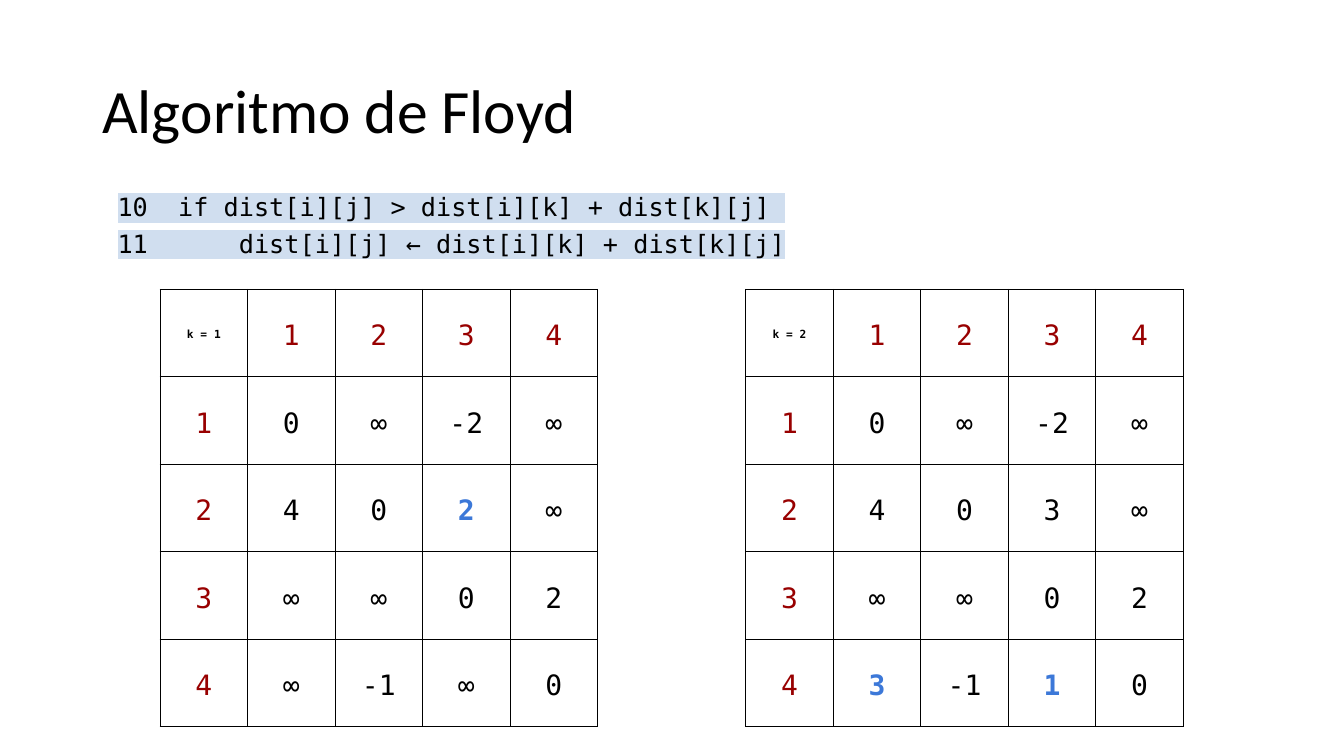
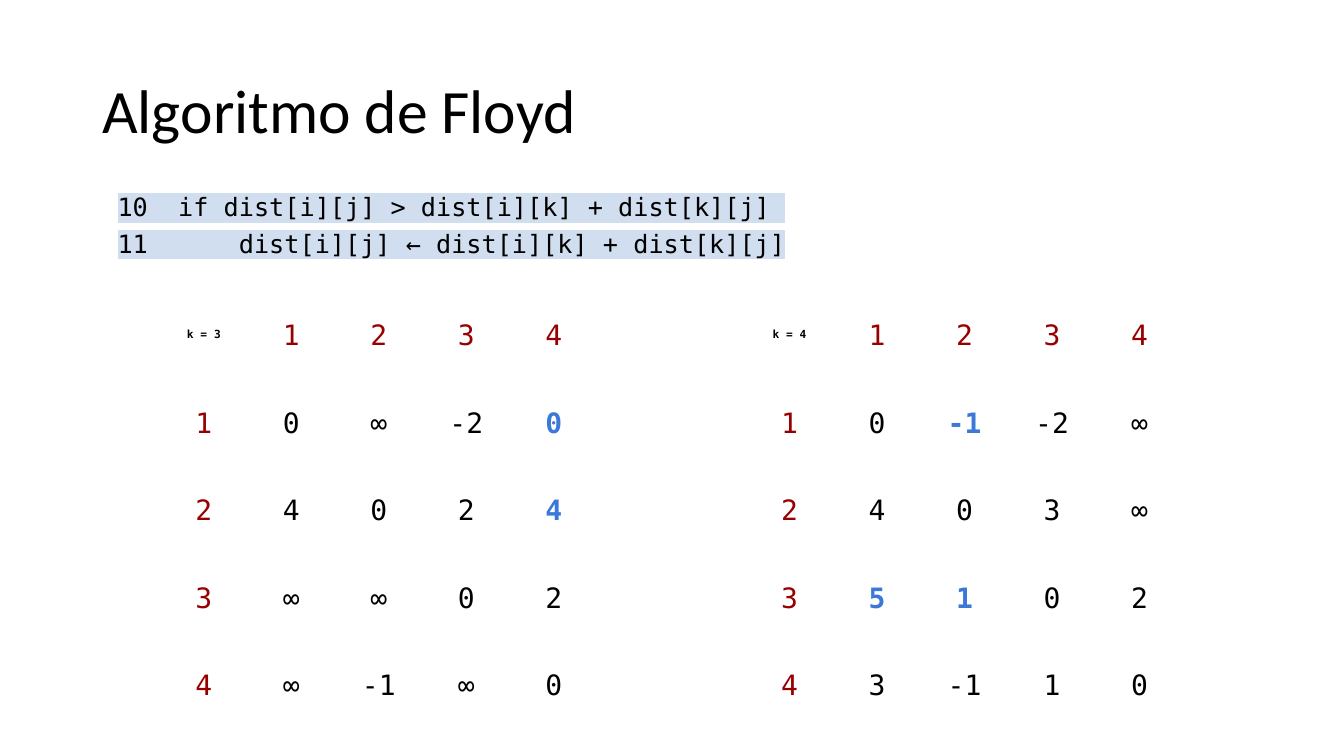
from lxml import etree
from pptx import Presentation
from pptx.dml.color import RGBColor
from pptx.enum import text
from pptx.oxml import ns
from pptx.util import Pt

# Text and matrices; a star marks a distance updated in that step
TITLE = "Algoritmo de Floyd"
CODE = [
    "10  if dist[i][j] > dist[i][k] + dist[k][j] ",
    "11      dist[i][j] ← dist[i][k] + dist[k][j]",
]
STEPS = {
    1: ["0 ∞ -2 ∞", "4 0 2* ∞", "∞ ∞ 0 2", "∞ -1 ∞ 0"],
    2: ["0 ∞ -2 ∞", "4 0 3 ∞", "∞ ∞ 0 2", "3* -1 1* 0"],
    3: ["0 ∞ -2 0*", "4 0 2 4*", "∞ ∞ 0 2", "∞ -1 ∞ 0"],
    4: ["0 -1* -2 ∞", "4 0 3 ∞", "5* 1* 0 2", "3 -1 1 0"],
}


def color(value):
    return RGBColor.from_string(value)


class FloydDeck:
    BLACK, NODE, UPDATED, MARKER = "000000", "980000", "3C78D8", "D0DEEF"
    SANS, MONO = "Calibri", "DejaVu Sans Mono"
    LEFT, WIDTH = 66, 828
    CELL = 62.5

    def __init__(self):
        self.deck = Presentation()
        self.deck.slide_width, self.deck.slide_height = Pt(960), Pt(540)
        self.page = None

    def new_page(self):
        self.page = self.deck.slides.add_slide(self.deck.slide_layouts[6])

    def style(self, para, size, font, tint=BLACK, bold=False, spacing=1.2):
        para.line_spacing = spacing
        for span in para.runs:
            span.font.size, span.font.name = Pt(size), font
            span.font.bold = bold
            span.font.color.rgb = color(tint)

    def text_box(self, top, height, content, inset):
        box = self.page.shapes.add_textbox(
            Pt(self.LEFT), Pt(top), Pt(self.WIDTH), Pt(height))
        frame = box.text_frame
        frame.word_wrap = True
        frame.margin_left = Pt(inset)
        frame.text = content
        return frame

    def title(self, content):
        frame = self.text_box(28.75, 104.4, content, 7.2)
        frame.vertical_anchor = text.MSO_ANCHOR.MIDDLE
        self.style(frame.paragraphs[0], 44, self.SANS, spacing=0.9)

    def code(self, lines):
        frame = self.text_box(129, 60, "\n".join(lines), 18)
        for para in frame.paragraphs:
            self.style(para, 18, self.MONO)
            for span in para.runs:
                self.highlight(span)

    def highlight(self, span):
        marker = etree.Element(ns.qn("a:highlight"))
        etree.SubElement(marker, ns.qn("a:srgbClr"), val=self.MARKER)
        span.font._element.find(ns.qn("a:solidFill")).addnext(marker)

    def borders(self, cell, width=0.75):
        properties = cell._tc.get_or_add_tcPr()
        for side in "LRTB":
            line = etree.SubElement(
                properties, ns.qn(f"a:ln{side}"), w=str(Pt(width)))
            fill = etree.SubElement(line, ns.qn("a:solidFill"))
            etree.SubElement(fill, ns.qn("a:srgbClr"), val=self.BLACK)

    def cell(self, cell, content, size, tint, bold, ruled):
        cell.margin_left = cell.margin_right = Pt(7.2)
        cell.margin_top = cell.margin_bottom = Pt(7.2)
        cell.vertical_anchor = text.MSO_ANCHOR.MIDDLE
        if ruled:
            self.borders(cell)
        cell.fill.background()
        cell.text = content
        para = cell.text_frame.paragraphs[0]
        para.alignment = text.PP_ALIGN.CENTER
        self.style(para, size, self.MONO, tint, bold)

    def matrix(self, left, step, ruled):
        nodes = ["1", "2", "3", "4"]
        rows = [[f"k = {step}"] + nodes]
        rows += [[node] + row.split() for node, row in zip(nodes, STEPS[step])]
        count = len(rows)
        side = Pt(self.CELL * count)
        table = self.page.shapes.add_table(
            count, count, Pt(left), Pt(206.6), side, side).table
        table.first_row = table.horz_banding = False
        for index, row in enumerate(rows):
            table.rows[index].height = Pt(self.CELL)
            table.columns[index].width = Pt(self.CELL)
            for column, value in enumerate(row):
                size, tint, bold = 20, self.BLACK, False
                if index == column == 0:
                    size, bold = 8, True
                elif index == 0 or column == 0:
                    tint = self.NODE
                elif value.endswith("*"):
                    tint, bold = self.UPDATED, True
                self.cell(table.cell(index, column), value.rstrip("*"),
                          size, tint, bold, ruled)


def main():
    floyd = FloydDeck()
    # Two steps per slide; only the first slide has ruled tables
    for steps, ruled in (((1, 2), True), ((3, 4), False)):
        floyd.new_page()
        floyd.title(TITLE)
        floyd.code(CODE)
        for left, step in zip((114.4, 532.8), steps):
            floyd.matrix(left, step, ruled)
    floyd.deck.save("out.pptx")


if __name__ == "__main__":
    main()
